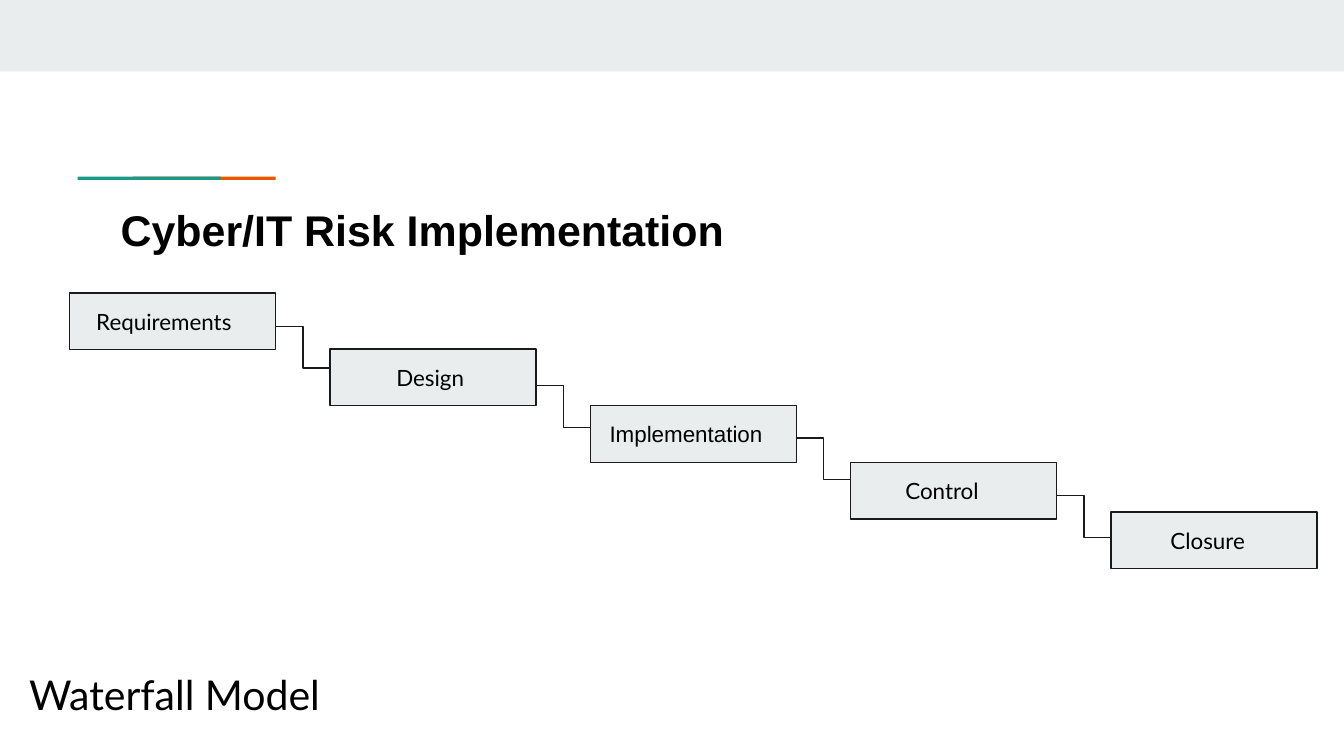
from lxml import etree
from pptx import Presentation
from pptx.dml.color import RGBColor
from pptx.enum.shapes import MSO_CONNECTOR, MSO_SHAPE
from pptx.enum.text import MSO_ANCHOR, PP_ALIGN
from pptx.oxml.ns import qn
from pptx.util import Cm, Pt

RECT = MSO_SHAPE.RECTANGLE
ELBOW = MSO_CONNECTOR.ELBOW
MIDDLE = MSO_ANCHOR.MIDDLE
LEFT = PP_ALIGN.LEFT

PALE, INK, BLACK = "E9EDEE", "1A1A1A", "000000"
ORANGE, TEAL = "EB5600", "1A9988"
INSET = 0.25
BOX_W, BOX_H = 3.89, 1.07
FIRST_X, STEP_X = 1.32, 4.92
DROP = 0.79

# label, top, left inset, font
STAGES = [
    ("Requirements", 5.54, 0.5, "Lato"),
    ("Design", 6.6, 1.25, "Lato"),
    ("Implementation", 7.67, 0.36, "Arial"),
    ("Control", 8.74, 1.03, "Lato"),
    ("Closure", 9.68, 1.12, "Lato"),
]
LINK_TOPS = [6.17, 7.29, 8.28, 9.37]


def color(value):
    return RGBColor.from_string(value)


def write(s, text, size, font, inset=INSET, bold=False):
    tf = s.text_frame
    tf.word_wrap = True
    tf.margin_left = Cm(inset)
    tf.margin_right = tf.margin_top = tf.margin_bottom = Cm(INSET)
    tf.text = text
    p = tf.paragraphs[0]
    p.alignment = LEFT
    r = p.runs[0]
    r.font.name = font
    r.font.size = Pt(size)
    r.font.bold = bold
    r.font.color.rgb = color(BLACK)
    return p


def add_rect(slide, x, y, w, h, fill):
    s = slide.shapes.add_shape(RECT, Cm(x), Cm(y), Cm(w), Cm(h))
    s.shadow.inherit = False
    s.fill.solid()
    s.fill.fore_color.rgb = color(fill)
    s.line.fill.background()
    return s


def add_text(slide, x, y, w, h, text, size, font, bold=False):
    s = slide.shapes.add_textbox(Cm(x), Cm(y), Cm(w), Cm(h))
    return write(s, text, size, font, bold=bold)


def add_stage(slide, x, y, label, inset, font):
    s = add_rect(slide, x, y, BOX_W, BOX_H, PALE)
    s.line.color.rgb = color(INK)
    s.line.width = Pt(0.75)
    s.text_frame.vertical_anchor = MIDDLE
    write(s, label, 12, font, inset)


def add_link(slide, x1, y1, x2, y2):
    s = slide.shapes.add_connector(ELBOW, Cm(x1), Cm(y1), Cm(x2), Cm(y2))
    s.line.color.rgb = color(INK)
    s.line.width = Pt(0.75)
    etree.SubElement(s._element.spPr, qn("a:effectLst"))


def main():
    prs = Presentation()
    prs.slide_width, prs.slide_height = Cm(25.4), Cm(14.29)
    slide = prs.slides.add_slide(prs.slide_layouts[6])

    add_rect(slide, 0, 0, 25.4, 1.35, PALE)
    add_rect(slide, 2.51, 3.34, 2.7, 0.06, ORANGE)
    add_rect(slide, 1.47, 3.34, 2.7, 0.06, TEAL)
    title = add_text(slide, 2.03, 3.45, 21.36, 1.5,
                     "Cyber/IT Risk Implementation", 23, "Arial", bold=True)
    title.line_spacing = 1.15

    for i, (label, top, inset, font) in enumerate(STAGES):
        add_stage(slide, FIRST_X + i * STEP_X, top, label, inset, font)
    for i, top in enumerate(LINK_TOPS):
        x = FIRST_X + i * STEP_X
        add_link(slide, x + BOX_W, top, x + STEP_X, top + DROP)

    add_text(slide, 0.3, 12.4, 8.46, 1.45, "Waterfall Model", 22, "Lato")
    prs.save("out.pptx")


if __name__ == "__main__":
    main()
